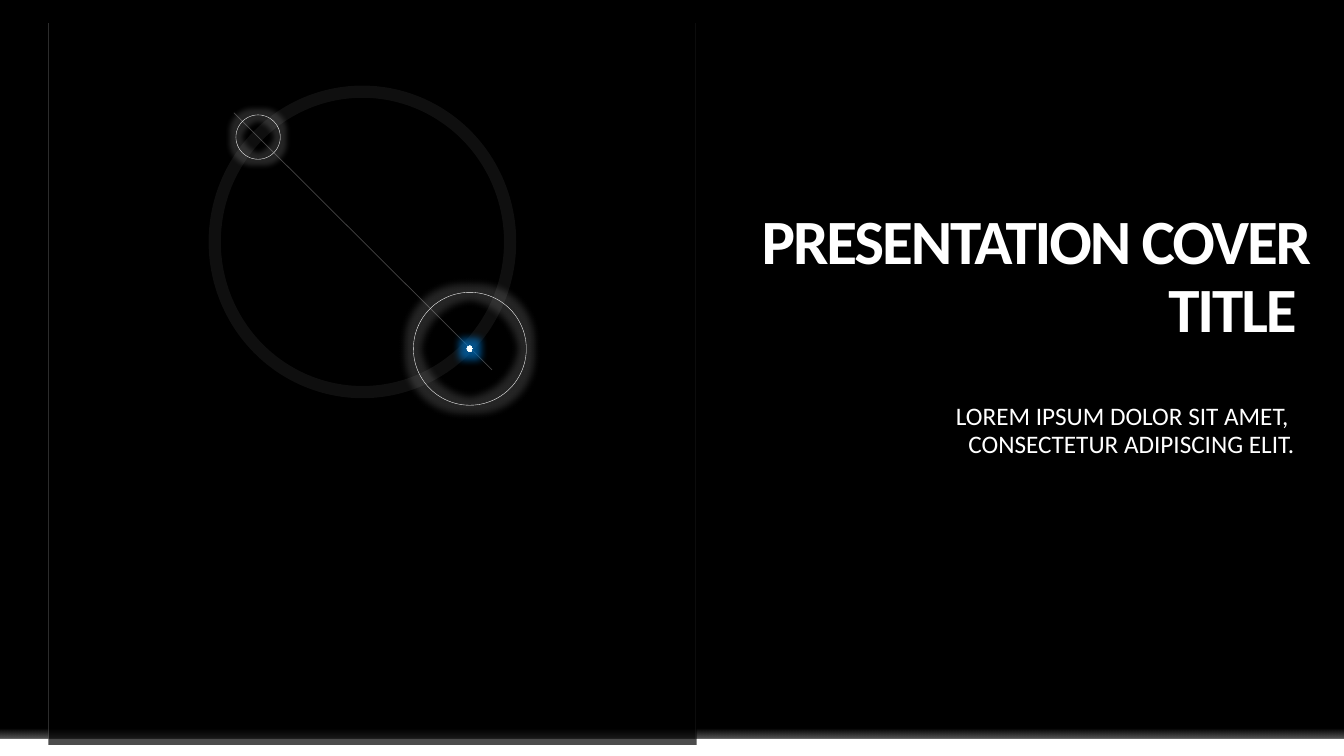
from dataclasses import dataclass
from typing import Optional

from lxml.etree import SubElement
from pptx import Presentation
from pptx.dml.color import RGBColor
from pptx.enum.shapes import MSO_CONNECTOR, MSO_SHAPE
from pptx.enum.text import MSO_ANCHOR, MSO_AUTO_SIZE, PP_ALIGN
from pptx.oxml.ns import qn
from pptx.util import Inches, Pt

COLORS = {"black": "000000", "white": "FFFFFF", "pale": "F2F2F2",
          "gray": "E7E6E6", "ice": "F7FFFF", "sky": "C1E4FF", "blue": "0070C0"}
FONT = "Calibri"


@dataclass
class Stop:
    pos: int
    color: str
    alpha: int = 100


@dataclass
class Glow:
    color: str
    size: float
    alpha: int


@dataclass
class Form:
    left: float
    top: float
    width: float
    height: float
    kind: MSO_SHAPE = MSO_SHAPE.RECTANGLE
    fill: Optional[str] = None
    alpha: int = 100
    stops: tuple = ()
    line: Optional[str] = None
    weight: float = 0.25
    fade: int = 100
    glow: Optional[Glow] = None


@dataclass
class Rule:
    start: tuple
    end: tuple
    color: str = "pale"
    weight: float = 0.25
    alpha: int = 15


def tint(node, name: str, alpha: int) -> None:
    color = SubElement(node, qn("a:srgbClr"), val=COLORS[name])
    if alpha < 100:
        SubElement(color, qn("a:alpha"), val=str(alpha * 1000))


def fade(node, alpha: int) -> None:
    if alpha < 100:
        color = next(node.iter(qn("a:srgbClr")))
        SubElement(color, qn("a:alpha"), val=str(alpha * 1000))


def blend(shape, form: Form) -> None:
    shape.fill.gradient()
    grad = shape._element.spPr.find(qn("a:gradFill"))
    for child in list(grad):
        grad.remove(child)
    group = SubElement(grad, qn("a:gsLst"))
    for stop in form.stops:
        tint(SubElement(group, qn("a:gs"), pos=str(stop.pos * 1000)),
             stop.color, stop.alpha)
    if form.kind == MSO_SHAPE.OVAL:
        way = SubElement(grad, qn("a:path"), path="circle")
        SubElement(way, qn("a:fillToRect"),
                   {side: "50000" for side in "ltrb"})
    else:
        SubElement(grad, qn("a:lin"), ang="5400000", scaled="0")


def stroke(line, color: str, weight: float, alpha: int) -> None:
    line.width = Pt(weight)
    line.color.rgb = RGBColor.from_string(COLORS[color])
    fade(line._ln, alpha)


def add_form(slide, form: Form) -> None:
    shape = slide.shapes.add_shape(
        form.kind, Inches(form.left), Inches(form.top),
        Inches(form.width), Inches(form.height))
    shape.shadow.inherit = False
    props = shape._element.spPr
    if form.stops:
        blend(shape, form)
    elif form.fill:
        shape.fill.solid()
        shape.fill.fore_color.rgb = RGBColor.from_string(COLORS[form.fill])
        fade(props.find(qn("a:solidFill")), form.alpha)
    else:
        shape.fill.background()
    if form.line:
        stroke(shape.line, form.line, form.weight, form.fade)
    else:
        shape.line.fill.background()
    if form.glow:
        halo = SubElement(props.find(qn("a:effectLst")), qn("a:glow"),
                          rad=str(Pt(form.glow.size)))
        tint(halo, form.glow.color, form.glow.alpha)


def add_rule(slide, rule: Rule) -> None:
    ends = [Inches(value) for value in (*rule.start, *rule.end)]
    link = slide.shapes.add_connector(MSO_CONNECTOR.STRAIGHT, *ends)
    stroke(link.line, rule.color, rule.weight, rule.alpha)
    SubElement(link._element.spPr, qn("a:effectLst"))


def put_text(shape, text: str, *, box: tuple, size: float, bold: bool = False,
             anchor: MSO_ANCHOR = MSO_ANCHOR.TOP, track: float = 0) -> None:
    shape.left, shape.top, shape.width, shape.height = map(Inches, box)
    frame = shape.text_frame
    frame.word_wrap = True
    frame.auto_size = MSO_AUTO_SIZE.NONE
    frame.vertical_anchor = anchor
    frame.margin_left = frame.margin_right = 0
    frame.margin_top = frame.margin_bottom = 0
    para = frame.paragraphs[0]
    para.text = text
    para.alignment = PP_ALIGN.RIGHT
    para.line_spacing = 0.9
    para.space_before = Pt(0)
    for run in para.runs:
        run.font.name = FONT
        run.font.size = Pt(size)
        run.font.bold = bold
        run.font.color.rgb = RGBColor.from_string(COLORS["white"])
        if track:
            run.font._element.set("spc", str(int(track * 100)))


def dot(glow: Optional[Glow] = None) -> Form:
    return Form(4.63, 3.43, 0.06, 0.06, MSO_SHAPE.OVAL, glow=glow,
                stops=(Stop(0, "white"), Stop(65, "ice"), Stop(70, "sky")))


def ring(left: float, top: float, size: float, glow: Glow) -> Form:
    return Form(left, top, size, size, MSO_SHAPE.OVAL, line="white", glow=glow)


EDGE = Rule((0.48, 0.23), (0.48, 7.33))
BACK = [
    Form(0, 7.33, 13.33, 0.17, fill="white"),
    Form(0, 7.16, 13.33, 0.17,
         stops=(Stop(40, "white", 0), Stop(100, "white", 35))),
    Form(0.48, 4.26, 6.43, 3.13, fill="black", alpha=70),
    Form(0.48, 0.23, 6.43, 4.04, fill="black", alpha=94),
    Rule((6.9, 0.23), (6.9, 7.33)),
    EDGE,
    dot(),
    Form(2.13, 0.91, 2.93, 2.98, MSO_SHAPE.OVAL, line="white",
         weight=8.75, fade=6),
    Rule((2.32, 1.12), (4.88, 3.67), "gray", 0.5, 30),
    Form(7.19, 1.43, 6.04, 2.25, fill="black", alpha=70),
]
FRONT = [
    ring(2.34, 1.14, 0.44, Glow("white", 8, 15)),
    ring(4.1, 2.9, 1.12, Glow("white", 11, 15)),
    dot(Glow("blue", 11, 70)),
    EDGE,
]


def draw(slide, items: list) -> None:
    for item in items:
        if isinstance(item, Form):
            add_form(slide, item)
        else:
            add_rule(slide, item)


def main() -> None:
    deck = Presentation()
    deck.slide_width, deck.slide_height = Inches(13.33), Inches(7.5)
    slide = deck.slides.add_slide(deck.slide_layouts[5])
    ground = slide.background.fill
    ground.solid()
    ground.fore_color.rgb = RGBColor.from_string(COLORS["black"])
    draw(slide, BACK)
    title = slide.shapes.title
    slide.shapes._spTree.append(title._element)
    put_text(title, "PRESENTATION COVER TITLE ", box=(7.33, 1.75, 5.65, 1.68),
             size=45, bold=True, anchor=MSO_ANCHOR.BOTTOM, track=-1.5)
    put_text(slide.shapes.add_textbox(0, 0, 0, 0),
             "LOREM IPSUM DOLOR SIT AMET, \vCONSECTETUR ADIPISCING ELIT.",
             box=(7.19, 4.01, 5.65, 0.76), size=18)
    draw(slide, FRONT)
    deck.save("out.pptx")


if __name__ == "__main__":
    main()
